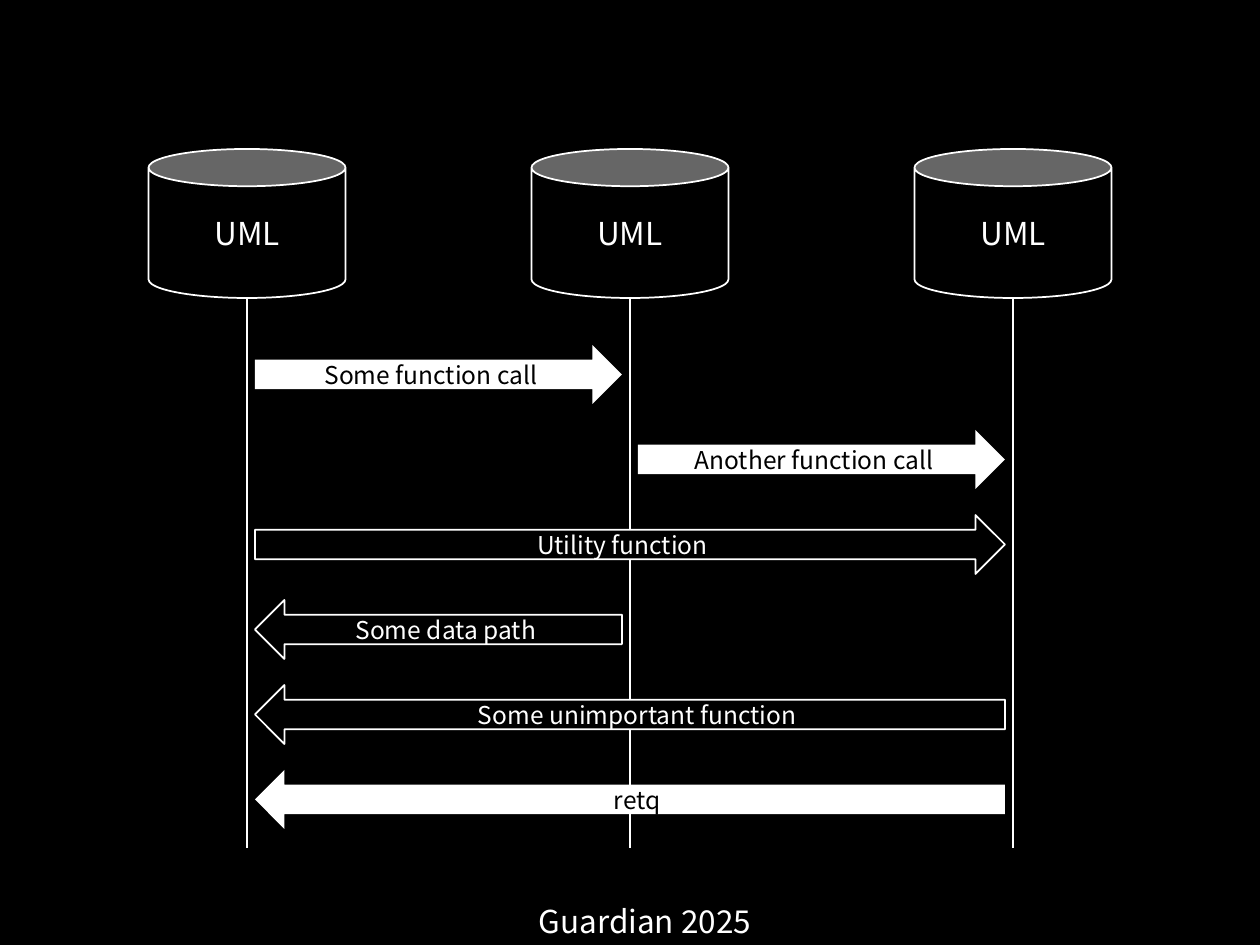
from pptx import Presentation
from pptx.dml.color import RGBColor
from pptx.enum.shapes import MSO_CONNECTOR, MSO_SHAPE
from pptx.enum.text import MSO_ANCHOR, PP_ALIGN
from pptx.oxml.ns import qn
from pptx.util import Pt
from lxml.etree import SubElement

BLACK = RGBColor(0x00, 0x00, 0x00)
WHITE = RGBColor(0xFF, 0xFF, 0xFF)
FONT = "Noto Sans CJK KR"
EMU_PER_PX = 914400 / 126

ACTOR_LABELS = ("UML", "UML", "UML")
ACTOR_X = (247, 630, 1013)
ACTOR_TOP, ACTOR_WIDTH, ACTOR_HEIGHT = 149, 197, 149
LIFELINE_END = 848
MESSAGE_TOP, MESSAGE_STEP, MESSAGE_HEIGHT = 345, 85, 59
MESSAGE_GAP = 8

# label, sending actor, receiving actor, solid white
MESSAGES = (
    ("Some function call", 0, 1, True),
    ("Another function call", 1, 2, True),
    ("Utility function", 0, 2, False),
    ("Some data path", 1, 0, False),
    ("Some unimportant function", 2, 0, False),
    ("retq", 2, 0, True),
)


def px(length):
    return round(length * EMU_PER_PX)


def write_label(frame, text, size, color):
    paragraph = frame.paragraphs[0]
    paragraph.text = text
    paragraph.alignment = PP_ALIGN.CENTER
    paragraph.font.name = FONT
    paragraph.font.size = Pt(size)
    paragraph.font.color.rgb = color


def add_labelled_shape(slide, preset, box, text, size, solid=False):
    """Draw a white shape with black text if solid, else a white outline."""
    shape = slide.shapes.add_shape(preset, *map(px, box))
    shape.shadow.inherit = False
    shape.fill.solid()
    shape.fill.fore_color.rgb = WHITE if solid else BLACK
    if solid:
        shape.line.fill.background()
    else:
        shape.line.color.rgb = WHITE
        shape.line.width = Pt(1)
    frame = shape.text_frame
    frame.margin_left = frame.margin_right = 0
    frame.margin_top = frame.margin_bottom = 0
    frame.vertical_anchor = MSO_ANCHOR.MIDDLE
    write_label(frame, text, size, BLACK if solid else WHITE)


def add_actor(slide, center, label):
    box = (center - ACTOR_WIDTH / 2, ACTOR_TOP, ACTOR_WIDTH, ACTOR_HEIGHT)
    add_labelled_shape(slide, MSO_SHAPE.CAN, box, label, 18)


def add_lifeline(slide, x):
    start = ACTOR_TOP + ACTOR_HEIGHT
    lifeline = slide.shapes.add_connector(
        MSO_CONNECTOR.STRAIGHT, px(x), px(start), px(x), px(LIFELINE_END))
    lifeline.line.color.rgb = WHITE
    lifeline.line.width = Pt(1)
    SubElement(lifeline._element.spPr, qn("a:effectLst"))


def add_message(slide, row, label, sender, receiver, solid):
    left, right = sorted((ACTOR_X[sender], ACTOR_X[receiver]))
    box = (left + MESSAGE_GAP, MESSAGE_TOP + row * MESSAGE_STEP,
           right - left - 2 * MESSAGE_GAP, MESSAGE_HEIGHT)
    preset = MSO_SHAPE.RIGHT_ARROW if sender < receiver else MSO_SHAPE.LEFT_ARROW
    add_labelled_shape(slide, preset, box, label, 14, solid)


def add_footer(slide, text):
    footer = slide.shapes.add_textbox(px(397), px(896), px(496), px(50))
    footer.text_frame.word_wrap = True
    write_label(footer.text_frame, text, 18, WHITE)


def main():
    presentation = Presentation()
    presentation.slide_width = px(1260)
    presentation.slide_height = px(945)
    slide = presentation.slides.add_slide(presentation.slide_layouts[6])
    slide.background.fill.solid()
    slide.background.fill.fore_color.rgb = BLACK

    add_footer(slide, "Guardian 2025")
    for center, label in zip(ACTOR_X, ACTOR_LABELS):
        add_actor(slide, center, label)
    for x in ACTOR_X:
        add_lifeline(slide, x)
    for row, message in enumerate(MESSAGES):
        add_message(slide, row, *message)

    presentation.save("out.pptx")


if __name__ == "__main__":
    main()
